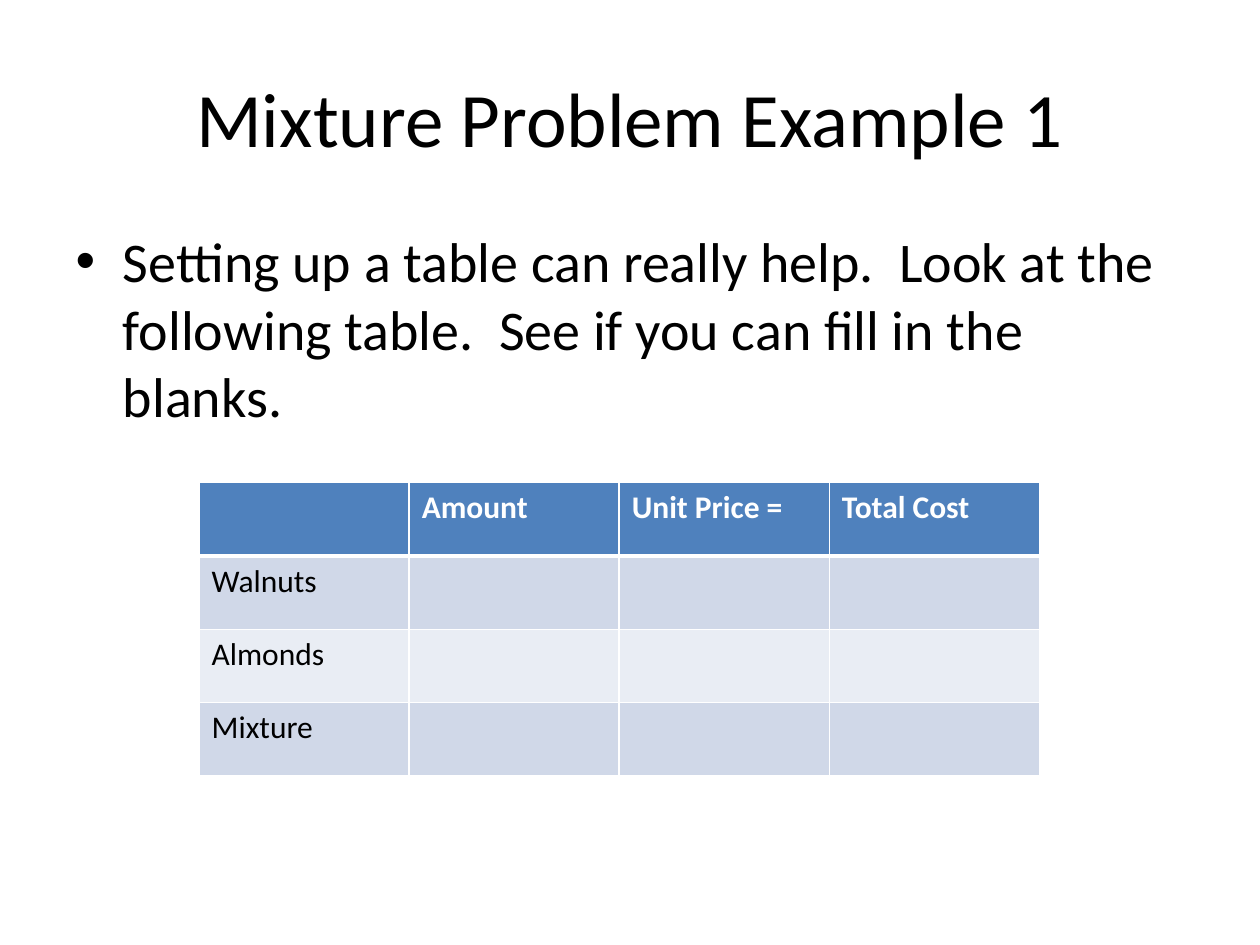
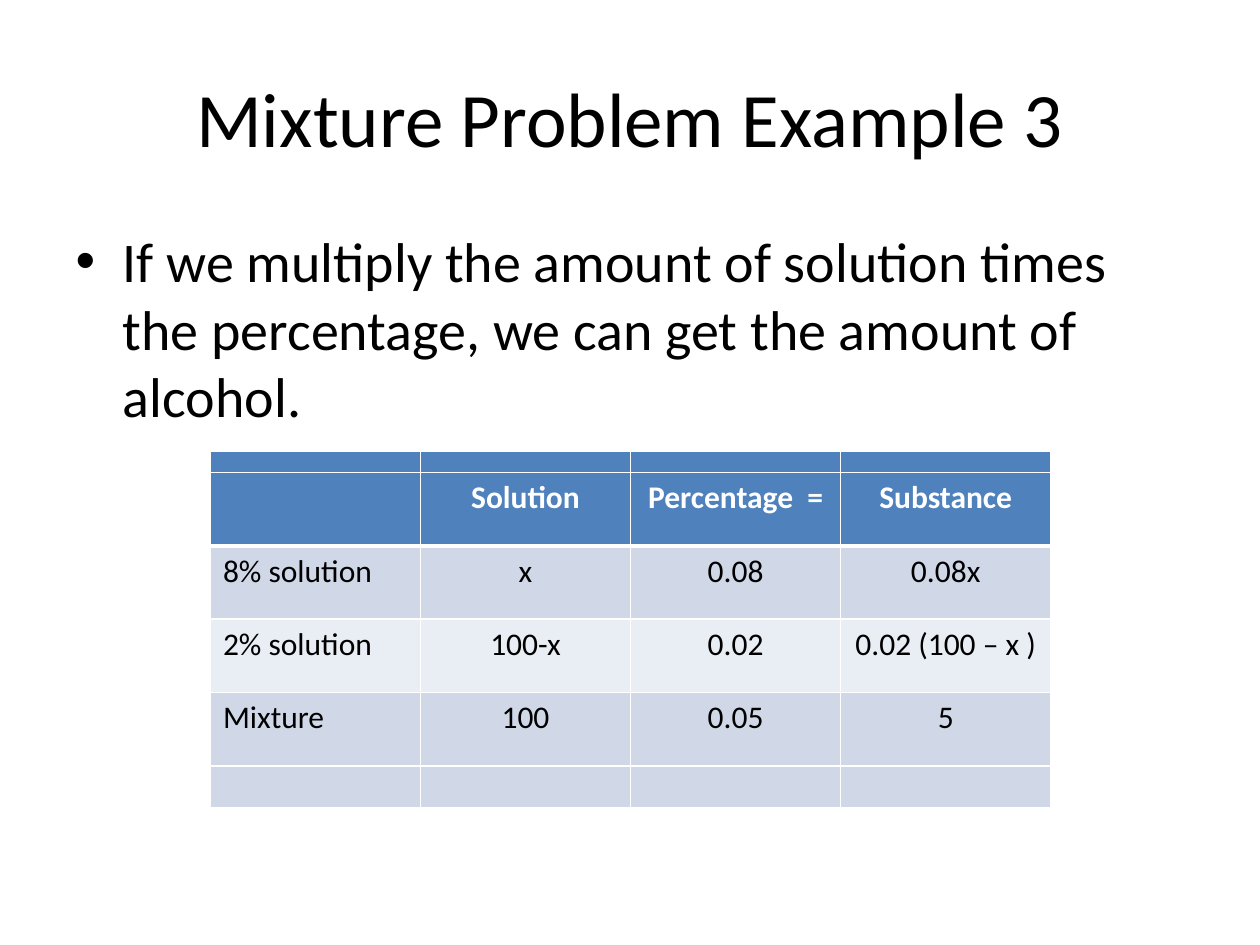
import pptx
import pptx.dml.color
import pptx.enum.text
import pptx.oxml.ns
import pptx.util
from lxml import etree

Inches = pptx.util.Inches
Pt = pptx.util.Pt
RGBColor = pptx.dml.color.RGBColor
Align = pptx.enum.text.PP_ALIGN
Anchor = pptx.enum.text.MSO_ANCHOR
qn = pptx.oxml.ns.qn

FONT = "Calibri"
BLACK = RGBColor(0x00, 0x00, 0x00)
WHITE = RGBColor(0xFF, 0xFF, 0xFF)
HEADER_BLUE = RGBColor(0x4F, 0x81, 0xBD)
BAND_DARK = RGBColor(0xD0, 0xD8, 0xE8)
BAND_LIGHT = RGBColor(0xE9, 0xED, 0xF4)

TITLE_BOX = (0.5, 0.3, 9, 1.25)
BODY_BOX = (0.5, 1.75, 9, 4.95)
TABLE_WIDTH = 6.67
TABLE_HEIGHT = 2.33

NUTS = [
    ["", "Amount", "Unit Price =", "Total Cost"],
    ["Walnuts", "", "", ""],
    ["Almonds", "", "", ""],
    ["Mixture", "", "", ""],
]
SOLUTIONS = [
    ["", "Solution", "Percentage  =", "Substance"],
    ["8% solution", "x", "0.08", "0.08x"],
    ["2% solution", "100-x", "0.02", "0.02 (100 – x )"],
    ["Mixture", "100", "0.05", "5"],
]
BLANK_GRID = [[""] * 4 for _ in range(4)]


def add_text(paragraph, text, size, color=BLACK, bold=False):
    """Add one formatted run to a paragraph."""
    run = paragraph.add_run()
    run.text = text
    run.font.name = FONT
    run.font.size = Pt(size)
    run.font.bold = bold
    run.font.color.rgb = color


def place(shape, box):
    """Move a shape to a box given in inches."""
    shape.left, shape.top, shape.width, shape.height = map(Inches, box)


def fill_title(slide, text):
    """Place and write the centred slide title."""
    title = slide.shapes.title
    place(title, TITLE_BOX)
    title.text_frame.vertical_anchor = Anchor.MIDDLE
    paragraph = title.text_frame.paragraphs[0]
    paragraph.alignment = Align.CENTER
    add_text(paragraph, text, 44)


def fill_body(slide, text):
    """Place and write the bulleted body text."""
    body = slide.placeholders[1]
    place(body, BODY_BOX)
    paragraph = body.text_frame.paragraphs[0]
    paragraph.space_before = Pt(0)
    add_text(paragraph, text, 32)


def set_borders(cell, row_index):
    """Draw white cell borders, thicker under the header row."""
    properties = cell._tc.get_or_add_tcPr()
    top = 3 if row_index == 1 else 1
    bottom = 3 if row_index == 0 else 1
    for side, width in (("L", 1), ("R", 1), ("T", top), ("B", bottom)):
        line = etree.SubElement(properties, qn(f"a:ln{side}"), w=str(Pt(width)))
        fill = etree.SubElement(line, qn("a:solidFill"))
        etree.SubElement(fill, qn("a:srgbClr"), val=str(WHITE))


def add_banded_table(slide, rows, left, top, height=TABLE_HEIGHT, value_align=Align.LEFT):
    """Add a table with a blue header and alternating row bands."""
    frame = slide.shapes.add_table(
        len(rows), len(rows[0]),
        Inches(left), Inches(top), Inches(TABLE_WIDTH), Inches(height),
    )
    for row_index, row in enumerate(rows):
        header = row_index == 0
        band = BAND_DARK if row_index % 2 else BAND_LIGHT
        for column_index, text in enumerate(row):
            cell = frame.table.cell(row_index, column_index)
            set_borders(cell, row_index)
            cell.fill.solid()
            cell.fill.fore_color.rgb = HEADER_BLUE if header else band
            if text:
                paragraph = cell.text_frame.paragraphs[0]
                paragraph.alignment = value_align if column_index else Align.LEFT
                add_text(paragraph, text, 18, WHITE if header else BLACK, header)


def add_problem_slide(presentation, title, body):
    """Add a slide with the shared title and body style."""
    slide = presentation.slides.add_slide(presentation.slide_layouts[1])
    fill_title(slide, title)
    fill_body(slide, body)
    return slide


def main():
    """Build both mixture problem slides and save them."""
    presentation = pptx.Presentation()
    presentation.slide_width = Inches(10)
    presentation.slide_height = Inches(7.5)

    nuts_slide = add_problem_slide(
        presentation,
        "Mixture Problem Example 1",
        "Setting up a table can really help.  Look at the following table.  "
        "See if you can fill in the blanks.",
    )
    add_banded_table(nuts_slide, NUTS, 1.58, 3.83)

    solution_slide = add_problem_slide(
        presentation,
        "Mixture Problem Example 3",
        "If we multiply the amount of solution times the percentage, "
        "we can get the amount of alcohol.",
    )
    add_banded_table(solution_slide, BLANK_GRID, 1.67, 3.58, height=2.83)
    add_banded_table(solution_slide, SOLUTIONS, 1.67, 3.75, value_align=Align.CENTER)

    presentation.save("out.pptx")


if __name__ == "__main__":
    main()
